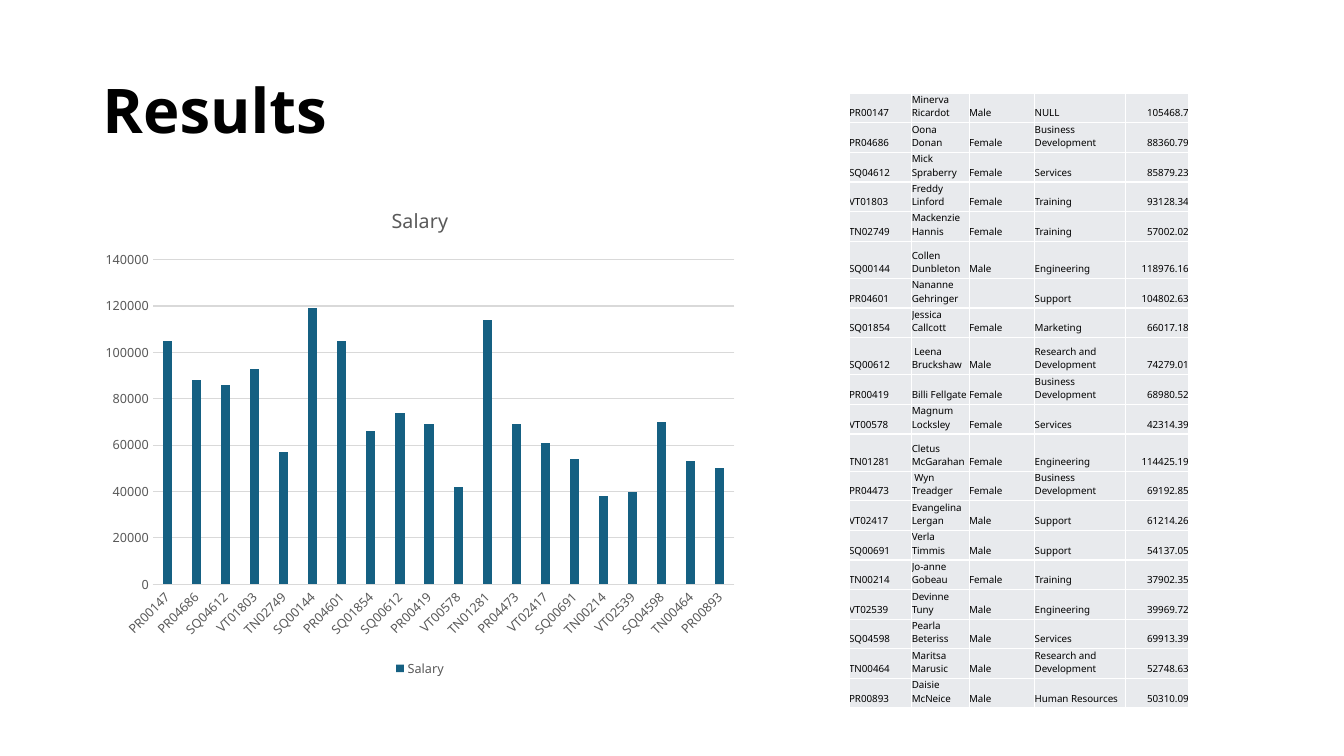
from dataclasses import dataclass

from lxml.etree import SubElement
from pptx import Presentation
from pptx.chart.data import CategoryChartData
from pptx.dml.color import RGBColor
from pptx.enum.chart import XL_CHART_TYPE, XL_LEGEND_POSITION, XL_TICK_MARK
from pptx.enum.text import MSO_ANCHOR, PP_ALIGN
from pptx.oxml.ns import qn
from pptx.util import Pt

# Content
TITLE = "Results"
MEASURE = "Salary"
EMPLOYEES = [
    ("PR00147", "Minerva Ricardot", "Male", "NULL", 105468.7),
    ("PR04686", "Oona Donan", "Female", "Business Development", 88360.79),
    ("SQ04612", "Mick Spraberry", "Female", "Services", 85879.23),
    ("VT01803", "Freddy Linford", "Female", "Training", 93128.34),
    ("TN02749", "Mackenzie Hannis", "Female", "Training", 57002.02),
    ("SQ00144", "Collen Dunbleton", "Male", "Engineering", 118976.16),
    ("PR04601", "Nananne Gehringer", "", "Support", 104802.63),
    ("SQ01854", "Jessica Callcott", "Female", "Marketing", 66017.18),
    ("SQ00612", " Leena Bruckshaw", "Male", "Research and Development", 74279.01),
    ("PR00419", "Billi Fellgate", "Female", "Business Development", 68980.52),
    ("VT00578", "Magnum Locksley", "Female", "Services", 42314.39),
    ("TN01281", "Cletus McGarahan", "Female", "Engineering", 114425.19),
    ("PR04473", " Wyn Treadger", "Female", "Business Development", 69192.85),
    ("VT02417", "Evangelina Lergan", "Male", "Support", 61214.26),
    ("SQ00691", "Verla Timmis", "Male", "Support", 54137.05),
    ("TN00214", "Jo-anne Gobeau", "Female", "Training", 37902.35),
    ("VT02539", "Devinne Tuny", "Male", "Engineering", 39969.72),
    ("SQ04598", "Pearla Beteriss", "Male", "Services", 69913.39),
    ("TN00464", "Maritsa Marusic", "Male", "Research and Development", 52748.63),
    ("PR00893", "Daisie McNeice", "Male", "Human Resources", 50310.09),
]

# Layout, in points
SLIDE_SIZE = (960, 540)
TITLE_BOX = (66, 28.75, 828, 104.4)
CHART_BOX = (66, 133.2, 468, 353.5)
TABLE_ORIGIN = (606.5, 66.5)
COLUMN_WIDTHS = (44.8, 41, 46.8, 65, 45)
ROW_HEIGHT, TALL_ROW_HEIGHT = 18.7, 26.6
TALL_ROWS = {"SQ00144", "SQ00612", "TN01281"}
CELL_BOTTOM = 2.2


@dataclass(frozen=True)
class Theme:
    font: str = "Noto Sans"
    ink: RGBColor = RGBColor(0x00, 0x00, 0x00)
    muted: RGBColor = RGBColor(0x59, 0x59, 0x59)
    grid: RGBColor = RGBColor(0xD9, 0xD9, 0xD9)
    bar: RGBColor = RGBColor(0x15, 0x60, 0x82)
    cell: RGBColor = RGBColor(0xE8, 0xEA, 0xED)
    border: str = "FFFFFF"
    title_size: float = 44
    chart_title_size: float = 14
    chart_size: float = 10
    label_size: float = 9
    table_size: float = 7


THEME = Theme()


def style(font, size, color, bold=False):
    font.name, font.size, font.bold = THEME.font, Pt(size), bold
    font.color.rgb = color


def add_title(slide):
    title = slide.shapes.title
    title.left, title.top, title.width, title.height = map(Pt, TITLE_BOX)
    title.text_frame.vertical_anchor = MSO_ANCHOR.MIDDLE
    paragraph = title.text_frame.paragraphs[0]
    paragraph.alignment = PP_ALIGN.LEFT
    paragraph.line_spacing = 0.9
    run = paragraph.add_run()
    run.text = TITLE
    style(run.font, THEME.title_size, THEME.ink, bold=True)


def add_salary_chart(slide):
    # The chart shows salaries to the nearest thousand
    data = CategoryChartData()
    data.categories = [employee[0] for employee in EMPLOYEES]
    data.add_series(MEASURE, [round(employee[-1], -3) for employee in EMPLOYEES])
    chart = slide.shapes.add_chart(
        XL_CHART_TYPE.COLUMN_CLUSTERED, *map(Pt, CHART_BOX), data).chart
    style(chart.font, THEME.chart_size, THEME.ink)

    # Title and legend
    chart.has_title = True
    run = chart.chart_title.text_frame.paragraphs[0].add_run()
    run.text = MEASURE
    style(run.font, THEME.chart_title_size, THEME.muted)
    chart.chart_title.include_in_layout = False
    chart.has_legend = True
    chart.legend.position = XL_LEGEND_POSITION.BOTTOM
    chart.legend.include_in_layout = False
    style(chart.legend.font, THEME.label_size, THEME.muted)

    # Bars
    plot = chart.plots[0]
    plot.gap_width, plot.overlap, plot.vary_by_categories = 219, -27, False
    fill = plot.series[0].format.fill
    fill.solid()
    fill.fore_color.rgb = THEME.bar

    # Axes
    for axis in (chart.category_axis, chart.value_axis):
        axis.major_tick_mark = axis.minor_tick_mark = XL_TICK_MARK.NONE
        style(axis.tick_labels.font, THEME.label_size, THEME.muted)
    chart.value_axis.format.line.fill.background()
    chart.value_axis.maximum_scale = 140000
    chart.value_axis.minimum_scale = 0
    chart.value_axis.major_unit = 20000
    for line in (chart.category_axis.format.line,
                 chart.value_axis.major_gridlines.format.line):
        line.color.rgb = THEME.grid
        line.width = Pt(0.75)


def add_borders(cell):
    properties = cell._tc.get_or_add_tcPr()
    for index, side in enumerate(("lnL", "lnR", "lnT", "lnB")):
        line = properties.makeelement(qn(f"a:{side}"), {"w": str(Pt(1))})
        properties.insert(index, line)
        fill = SubElement(line, qn("a:solidFill"))
        SubElement(fill, qn("a:srgbClr"), val=THEME.border)


def fill_cell(cell, value):
    cell.margin_left = cell.margin_top = cell.margin_right = 0
    cell.margin_bottom = Pt(CELL_BOTTOM)
    cell.vertical_anchor = MSO_ANCHOR.BOTTOM
    cell.fill.solid()
    cell.fill.fore_color.rgb = THEME.cell
    add_borders(cell)
    paragraph = cell.text_frame.paragraphs[0]
    if value == "":
        # Keeps the empty cell from stretching its row
        SubElement(paragraph._p, qn("a:endParaRPr"), sz=str(THEME.table_size * 100))
        return
    if isinstance(value, float):
        paragraph.alignment = PP_ALIGN.RIGHT
    run = paragraph.add_run()
    run.text = str(value)
    style(run.font, THEME.table_size, THEME.ink)


def add_employee_table(slide):
    heights = [TALL_ROW_HEIGHT if employee[0] in TALL_ROWS else ROW_HEIGHT
               for employee in EMPLOYEES]
    size = (sum(COLUMN_WIDTHS), sum(heights))
    table = slide.shapes.add_table(
        len(EMPLOYEES), len(COLUMN_WIDTHS), *map(Pt, TABLE_ORIGIN + size)).table
    table.first_row = table.horz_banding = False
    for column, width in zip(table.columns, COLUMN_WIDTHS):
        column.width = Pt(width)
    for row, height, employee in zip(table.rows, heights, EMPLOYEES):
        row.height = Pt(height)
        for cell, value in zip(row.cells, employee):
            fill_cell(cell, value)


def main():
    presentation = Presentation()
    presentation.slide_width, presentation.slide_height = map(Pt, SLIDE_SIZE)
    slide = presentation.slides.add_slide(presentation.slide_layouts[5])
    add_title(slide)
    add_salary_chart(slide)
    add_employee_table(slide)
    presentation.save("out.pptx")


if __name__ == "__main__":
    main()
